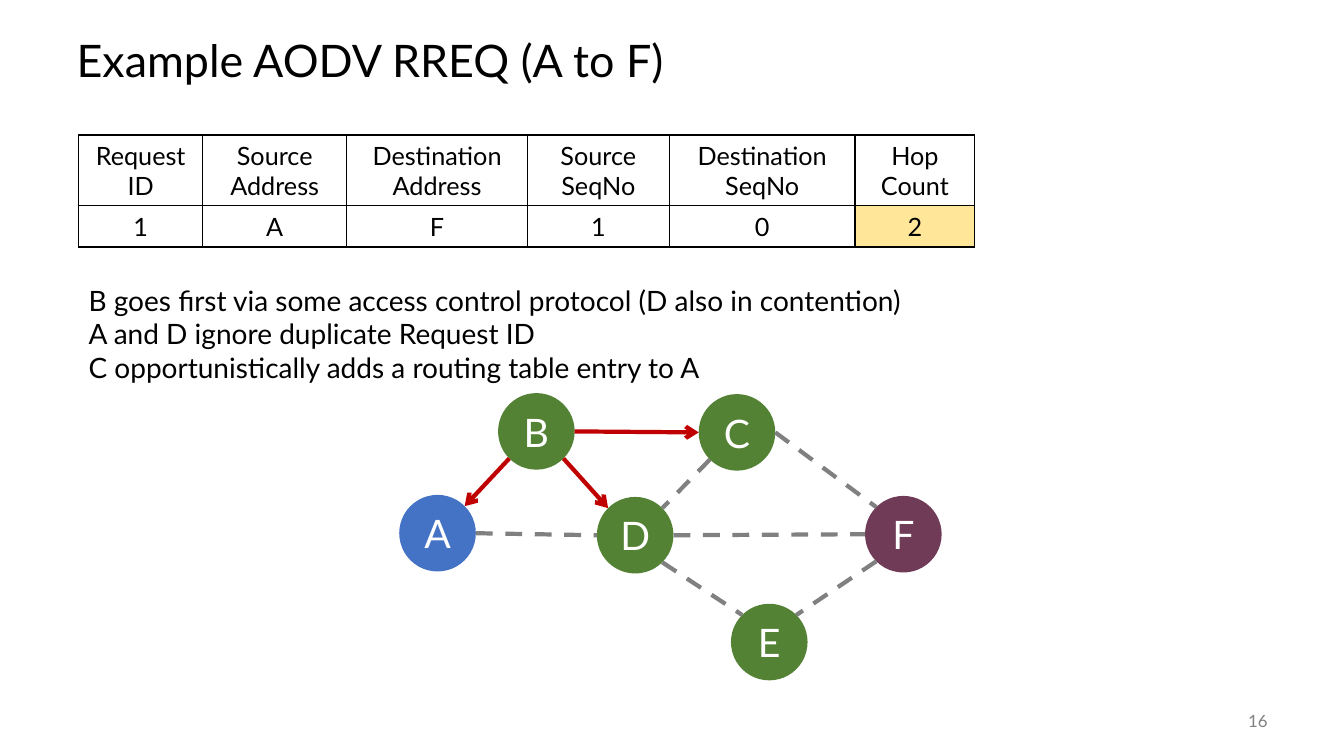
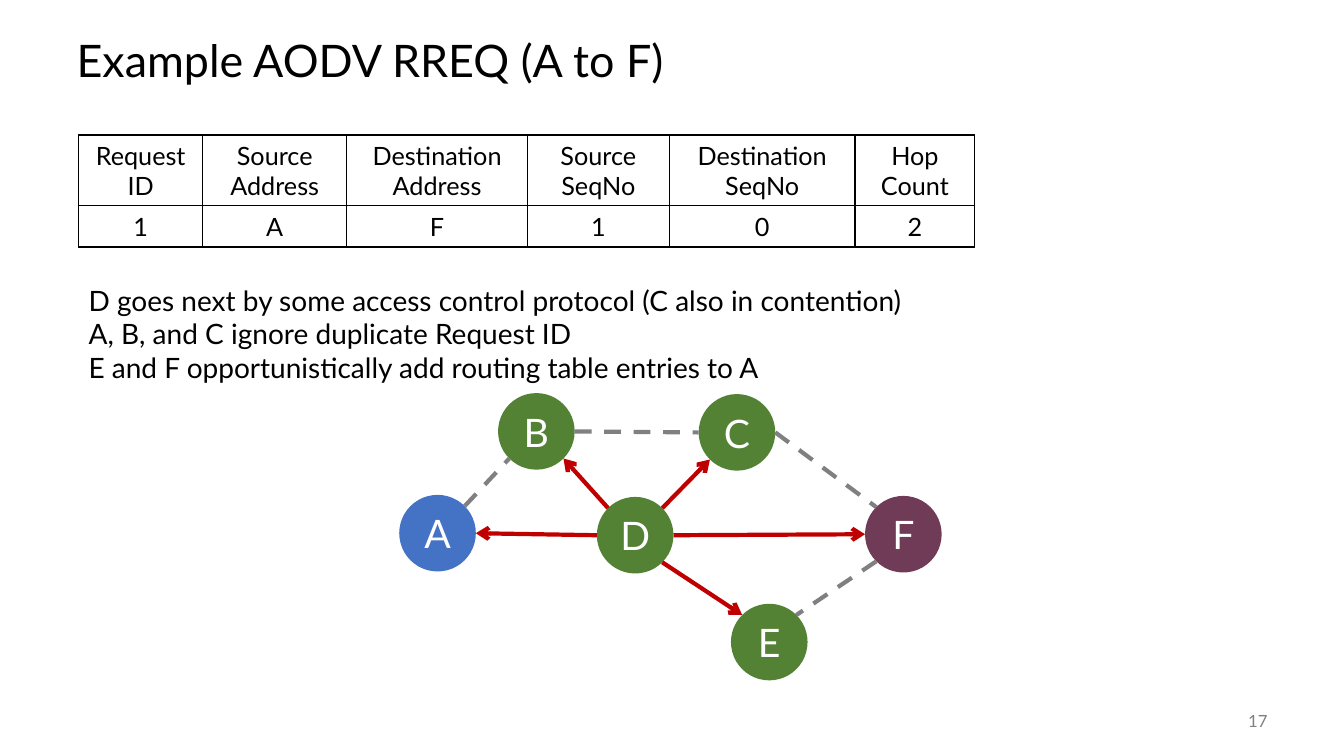
"""Build two slides on AODV route request flooding."""
import math
from dataclasses import dataclass
from typing import Any

import lxml.etree
import pptx
import pptx.dml.color
import pptx.enum.dml
import pptx.enum.shapes
import pptx.enum.text
import pptx.oxml.ns
import pptx.util

Inches = pptx.util.Inches
ALIGN = pptx.enum.text.PP_ALIGN
MIDDLE = pptx.enum.text.MSO_ANCHOR.MIDDLE

FACE = "Lato"
BLACK, WHITE, GRAY = "000000", "FFFFFF", "808080"
RED, BLUE, GREEN, PLUM, YELLOW = "C00000", "4472C4", "548235", "703B56", "FFE699"

TITLE = "Example AODV RREQ (A to F)"
HEADS = ("Request ID", "Source Address", "Destination Address",
         "Source SeqNo", "Destination\nSeqNo", "Hop Count")
VALUES = ("1", "A", "F", "1", "0", "2")
WIDTHS = (1.23, 1.43, 1.79, 1.41, 1.84, 1.19)
HEIGHTS = (0.7, 0.41)
SIZE = 0.76
SIDES = {"E": 0, "SE": 45, "S": 90, "SW": 135, "W": 180, "NW": 225, "N": 270, "NE": 315}


@dataclass(frozen=True)
class Node:
    """A network node, placed by its top left corner."""
    left: float
    top: float
    fill: str = GREEN

    def port(self, side: str) -> tuple[float, float]:
        """Return the point on the rim that faces a compass side."""
        turn, half = math.radians(SIDES[side]), SIZE / 2
        return (self.left + half + half * math.cos(turn),
                self.top + half + half * math.sin(turn))


@dataclass(frozen=True)
class Link:
    """A radio link between two nodes, with the side it leaves each from."""
    start: str
    exit: str
    end: str
    entry: str


@dataclass(frozen=True)
class Step:
    """One broadcast in the flood."""
    number: int
    sender: str
    notes: tuple[str, ...]
    marks: tuple[int, ...] = ()


NODES = {
    "A": Node(3.96, 4.91, BLUE),
    "B": Node(4.94, 3.9),
    "C": Node(6.93, 3.91),
    "D": Node(5.92, 4.93),
    "E": Node(7.25, 5.99),
    "F": Node(8.58, 4.92, PLUM),
}
LINKS = (
    Link("A", "NE", "B", "SW"),
    Link("B", "E", "C", "W"),
    Link("B", "SE", "D", "NW"),
    Link("C", "SW", "D", "NE"),
    Link("C", "E", "F", "NW"),
    Link("D", "E", "F", "W"),
    Link("D", "SE", "E", "NW"),
    Link("F", "SW", "E", "NE"),
    Link("A", "E", "D", "W"),
)
STEPS = (
    Step(16, "B", ("B goes first via some access control protocol (D also in contention)",
                   "A and D ignore duplicate Request ID",
                   "C opportunistically adds a routing table entry to A"), (5,)),
    Step(17, "D", ("D goes next by some access control protocol (C also in contention)",
                   "A, B, and C ignore duplicate Request ID",
                   "E and F opportunistically add routing table entries to A")),
)


def style(target: Any, values: dict[str, Any]) -> None:
    """Set each named value on the target."""
    for name, value in values.items():
        setattr(target, name, value)


def paint(fill: Any, shade: str) -> None:
    """Give a fill one solid colour."""
    fill.solid()
    fill.fore_color.rgb = pptx.dml.color.RGBColor.from_string(shade)


def child(parent: Any, tag: str, **values: str) -> Any:
    """Append a drawing element to a parent."""
    return lxml.etree.SubElement(parent, pptx.oxml.ns.qn(tag), values)


def write(frame: Any, text: str, size: float, shade: str = BLACK,
          align: Any = ALIGN.LEFT, **values: Any) -> None:
    """Fill a text frame and format all its paragraphs."""
    frame.text = text
    style(frame, {"word_wrap": True, **values})
    for para in frame.paragraphs:
        para.alignment = align
        style(para.font, {"name": FACE, "size": pptx.util.Pt(size), "bold": False})
        paint(para.font.fill, shade)


def add_title(slide: Any) -> None:
    """Place and format the title."""
    title = slide.shapes.title
    style(title, {"left": Inches(0.66), "top": Inches(0.25),
                  "width": Inches(12), "height": Inches(0.75)})
    write(title.text_frame, TITLE, 32, vertical_anchor=MIDDLE,
          auto_size=pptx.enum.text.MSO_AUTO_SIZE.NONE)
    title.text_frame.paragraphs[0].line_spacing = 0.9


def add_text(slide: Any, box: tuple[float, ...], text: str, size: float,
             shade: str = BLACK, align: Any = ALIGN.LEFT, **values: Any) -> None:
    """Add a text box."""
    frame = slide.shapes.add_textbox(*map(Inches, box)).text_frame
    write(frame, text, size, shade, align, **values)


def add_node(slide: Any, name: str, node: Node) -> None:
    """Draw a node as a lettered circle."""
    disc = slide.shapes.add_shape(
        pptx.enum.shapes.MSO_SHAPE.OVAL, Inches(node.left), Inches(node.top),
        Inches(SIZE), Inches(SIZE))
    disc.shadow.inherit = False
    paint(disc.fill, node.fill)
    disc.line.fill.background()
    write(disc.text_frame, name, 28, WHITE, ALIGN.CENTER, vertical_anchor=MIDDLE,
          margin_left=0, margin_right=0)


def add_link(slide: Any, link: Link, sender: str) -> None:
    """Draw a dashed link, or a red arrow away from the sender."""
    ends = [NODES[link.start].port(link.exit), NODES[link.end].port(link.entry)]
    if link.end == sender:
        ends.reverse()
    live = sender in (link.start, link.end)
    wire = slide.shapes.add_connector(
        pptx.enum.shapes.MSO_CONNECTOR.STRAIGHT,
        *(Inches(value) for point in ends for value in point))
    wire.line.width = pptx.util.Pt(3)
    paint(wire.line.fill, RED if live else GRAY)
    if live:
        child(wire.get_or_add_ln(), "a:tailEnd", type="arrow")
    else:
        wire.line.dash_style = pptx.enum.dml.MSO_LINE.DASH
    child(wire.element.spPr, "a:effectLst")


def add_edges(cell: Any) -> None:
    """Draw a thin black line on each side of a cell."""
    props = cell._tc.get_or_add_tcPr()
    for side in "LRTB":
        edge = child(props, f"a:ln{side}", w=str(pptx.util.Pt(1)))
        child(child(edge, "a:solidFill"), "a:srgbClr", val=BLACK)


def add_grid(slide: Any, marks: tuple[int, ...]) -> None:
    """Add the request table, with the marked values lit."""
    frame = slide.shapes.add_table(
        2, len(HEADS), Inches(0.78), Inches(1.34),
        Inches(sum(WIDTHS)), Inches(sum(HEIGHTS)))
    grid = frame.table
    style(grid, {"first_row": False, "horz_banding": False})
    for column, width in zip(grid.columns, WIDTHS):
        column.width = Inches(width)
    for line, (texts, height) in enumerate(zip((HEADS, VALUES), HEIGHTS)):
        grid.rows[line].height = Inches(height)
        for index, text in enumerate(texts):
            cell = grid.cell(line, index)
            write(cell.text_frame, text, 18, align=ALIGN.CENTER)
            cell.vertical_anchor = MIDDLE
            add_edges(cell)
            if line and index in marks:
                paint(cell.fill, YELLOW)
            else:
                cell.fill.background()


def add_step(deck: Any, step: Step) -> None:
    """Add the slide for one broadcast."""
    slide = deck.slides.add_slide(deck.slide_layouts[5])
    add_title(slide)
    add_text(slide, (11.67, 6.95, 1, 0.4), str(step.number), 12, GRAY,
             ALIGN.RIGHT, vertical_anchor=MIDDLE)
    for name, node in NODES.items():
        add_node(slide, name, node)
    for link in LINKS:
        add_link(slide, link, step.sender)
    add_grid(slide, step.marks)
    add_text(slide, (0.78, 2.76, 11.38, 1.11), "\n".join(step.notes), 20)


def main() -> None:
    """Build and save the deck."""
    deck = pptx.Presentation()
    style(deck, {"slide_width": Inches(13.33), "slide_height": Inches(7.5)})
    for step in STEPS:
        add_step(deck, step)
    deck.save("out.pptx")


if __name__ == "__main__":
    main()
